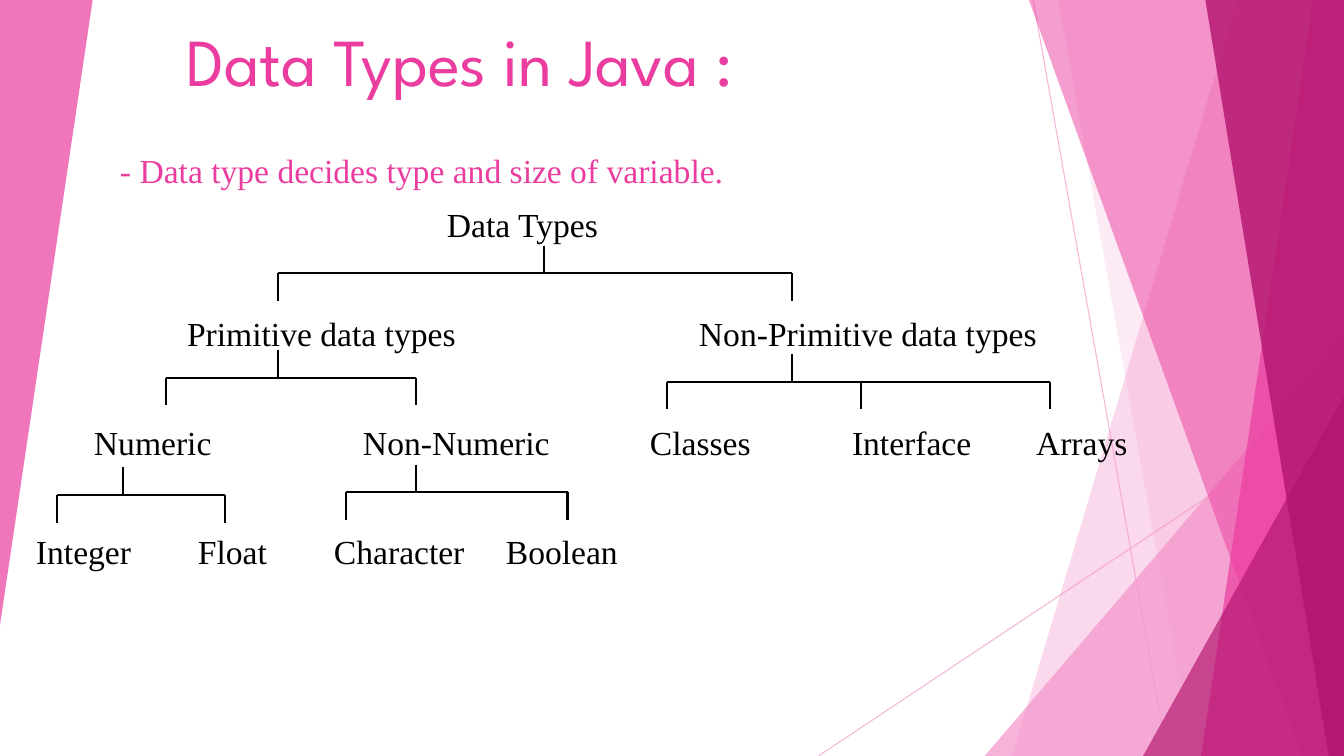
from dataclasses import dataclass

from lxml.etree import SubElement
from pptx import Presentation
from pptx.dml.color import RGBColor
from pptx.enum.shapes import MSO_CONNECTOR as Connector, MSO_SHAPE as Preset
from pptx.enum.text import MSO_ANCHOR as Anchor, MSO_AUTO_SIZE as AutoSize, PP_ALIGN as Align
from pptx.oxml.ns import qn
from pptx.util import Pt

TITLE = "Data Types in Java :"
DEFINITION = "- Data type decides type and size of variable."

# One list per level: (name, left, width)
LEVELS = [
    [("Data Types", 319.3, 108)],
    [("Primitive data types", 133.6, 192), ("Non-Primitive data types", 499.3, 241)],
    [("Numeric", 67.1, 84), ("Non-Numeric", 259.3, 133), ("Classes", 464.3, 72),
     ("Interface", 608.6, 85), ("Arrays", 740, 65)],
    [("Integer", 25.7, 68), ("Float", 141.4, 50), ("Character", 238.6, 94),
     ("Boolean", 361.4, 80)],
]

# One bracket per parent: (stem x, bar y, x of each drop)
BRACKETS = [
    (388.8, 195.3, [198.7, 565.9]),
    (198.7, 269.8, [118.8, 297]),
    (565.9, 272.6, [476.6, 614.9, 750.2]),
    (87.8, 353.7, [41, 160.6]),
    (297.4, 351.6, [247, 405.4]),
]


@dataclass(frozen=True)
class Theme:
    pale: str = "F496CB"
    pink: str = "EB3D9F"
    deep: str = "B2136D"
    ink: str = "000000"
    title_font: str = "League Spartan"
    text_font: str = "Times New Roman"
    title_size: int = 48
    text_size: int = 24
    tree_line: float = 1.5
    hairline: float = 0.75


THEME = Theme()
WIDTH, HEIGHT = 960, 540
STEM = 19.8
FIRST_LEVEL_TOP, LEVEL_PITCH = 145.5, 77.8

HAIRLINES = [(738, 0, 833.8, HEIGHT), (WIDTH, 290.2, 584.6, HEIGHT)]

# Facets from back to front. A band runs from its slanted edge (top x, bottom x)
# to the right of the slide; a wedge is a right triangle (left, top, width, height, turn).
FACETS = [
    ("band", (884.2, 722.9), THEME.pale, 36),
    ("band", (756, 851.8), THEME.pale, 20),
    ("wedge", (703.4, 239.8, 256.6, 300.2, 0), THEME.pale, 72),
    ("band", (735.1, 929.5), THEME.pink, 50),
    ("band", (938.2, 858.2), THEME.pink, 70),
    ("band", (861.1, 949), THEME.deep, 80),
    ("wedge", (816.5, 283, 143.5, 257, 0), THEME.deep, 66),
    ("wedge", (0, 0, 66.2, 446.4, 180), THEME.pink, 70),
]


def set_alpha(fill, percent):
    """Make a solid fill, of a shape or a line, partly transparent."""
    colour = fill._xPr.find(qn("a:solidFill"))[0]
    SubElement(colour, qn("a:alpha")).set("val", str(percent * 1000))


def add_line(shapes, x1, y1, x2, y2, colour, weight):
    line = shapes.add_connector(Connector.STRAIGHT, Pt(x1), Pt(y1), Pt(x2), Pt(y2))
    line.line.color.rgb = RGBColor.from_string(colour)
    line.line.width = Pt(weight)
    SubElement(line.element.spPr, qn("a:effectLst"))
    return line


def add_facet(shapes, kind, geometry, colour, opacity):
    if kind == "band":
        top_x, bottom_x = geometry
        outline = shapes.build_freeform(top_x, 0, scale=Pt(1))
        outline.add_line_segments([(WIDTH, 0), (WIDTH, HEIGHT), (bottom_x, HEIGHT)])
        facet = outline.convert_to_shape()
    else:
        *box, turn = geometry
        facet = shapes.add_shape(Preset.ISOSCELES_TRIANGLE, *map(Pt, box))
        facet.adjustments[0] = 1
        facet.rotation = turn
    facet.shadow.inherit = False
    facet.fill.solid()
    facet.fill.fore_color.rgb = RGBColor.from_string(colour)
    set_alpha(facet.fill, opacity)
    facet.line.fill.background()
    return facet


def add_backdrop(slide):
    """Draw the facets and hand them to the layout, behind the slide's content."""
    backdrop = []
    for ends in HAIRLINES:
        hairline = add_line(slide.shapes, *ends, THEME.pale, THEME.hairline)
        set_alpha(hairline.line.fill, 70)
        backdrop.append(hairline)
    backdrop += [add_facet(slide.shapes, *facet) for facet in FACETS]
    layout_tree = slide.slide_layout.shapes.element
    for number, part in enumerate(backdrop, start=100):
        part.element.xpath(".//p:cNvPr")[0].set("id", str(number))
        layout_tree.append(part.element)


def set_text(holder, text, font, size, colour, align=Align.LEFT, anchor=Anchor.TOP):
    frame = holder.text_frame
    frame.text = text
    frame.auto_size = AutoSize.NONE
    frame.vertical_anchor = anchor
    frame.margin_left = frame.margin_right = frame.margin_top = frame.margin_bottom = 0
    paragraph = frame.paragraphs[0]
    paragraph.alignment = align
    paragraph.space_before = Pt(0)
    run_font = paragraph.runs[0].font
    run_font.name = font
    run_font.size = Pt(size)
    run_font.color.rgb = RGBColor.from_string(colour)


def place(holder, left, top, width, height):
    holder.left, holder.top = Pt(left), Pt(top)
    holder.width, holder.height = Pt(width), Pt(height)


def add_heading(slide):
    title, definition = slide.placeholders
    place(title, 51.8, 18.7, 472, 52.6)
    set_text(title, TITLE, THEME.title_font, THEME.title_size, THEME.pink,
             Align.RIGHT, Anchor.BOTTOM)
    place(definition, 85.7, 107, 500, 30)
    set_text(definition, DEFINITION, THEME.text_font, THEME.text_size, THEME.pink)


def add_tree(shapes):
    for depth, level in enumerate(LEVELS):
        top = FIRST_LEVEL_TOP + depth * LEVEL_PITCH
        for name, left, width in level:
            label = shapes.add_textbox(Pt(left), Pt(top), Pt(width), Pt(28))
            set_text(label, name, THEME.text_font, THEME.text_size, THEME.ink)
            label.text_frame.word_wrap = False
    for stem_x, bar_y, drops in BRACKETS:
        segments = [(stem_x, bar_y - STEM, stem_x, bar_y),
                    (drops[0], bar_y, drops[-1], bar_y)]
        segments += [(x, bar_y, x, bar_y + STEM) for x in drops]
        for segment in segments:
            add_line(shapes, *segment, THEME.ink, THEME.tree_line)


def main():
    deck = Presentation()
    deck.slide_width, deck.slide_height = Pt(WIDTH), Pt(HEIGHT)
    slide = deck.slides.add_slide(deck.slide_layouts[0])
    add_backdrop(slide)
    add_heading(slide)
    add_tree(slide.shapes)
    deck.save("out.pptx")


if __name__ == "__main__":
    main()
